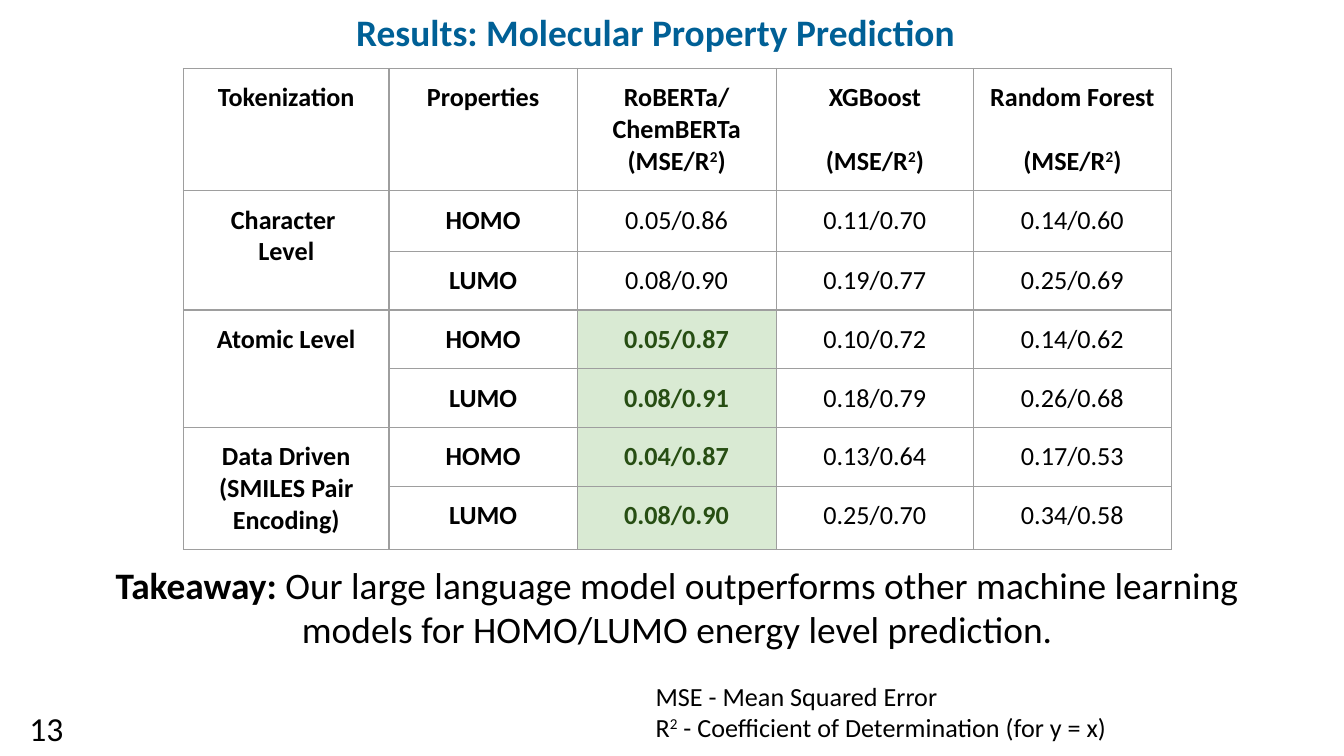
from dataclasses import dataclass

from lxml.etree import SubElement
from pptx import Presentation
from pptx.dml.color import RGBColor as RGB
from pptx.enum.text import MSO_ANCHOR as ANCHOR, MSO_AUTO_SIZE as AUTOSIZE, PP_ALIGN as ALIGN
from pptx.oxml.ns import qn
from pptx.util import Emu, Pt

PX = 4572


@dataclass(frozen=True)
class Theme:
    """Colours, font and type sizes of the slide."""
    font: str = "Calibri"
    title: str = "006096"
    ink: str = "000000"
    paper: str = "FFFFFF"
    best_ink: str = "274E13"
    best_fill: str = "D9EAD3"
    rule: str = "9E9E9E"
    heading: int = 20
    number: int = 18
    body: int = 14


THEME = Theme()
SCORE = "(MSE/R²)"
HEADERS = [["Tokenization"], ["Properties"], ["RoBERTa/", "ChemBERTa", SCORE],
           ["XGBoost", SCORE], ["Random Forest", SCORE]]
GROUPS = [
    (["Character ", "Level"], False,
     [("HOMO", "0.05/0.86", "0.11/0.70", "0.14/0.60"),
      ("LUMO", "0.08/0.90", "0.19/0.77", "0.25/0.69")]),
    (["Atomic Level"], True,
     [("HOMO", "0.05/0.87", "0.10/0.72", "0.14/0.62"),
      ("LUMO", "0.08/0.91", "0.18/0.79", "0.26/0.68")]),
    (["Data Driven", "(SMILES Pair Encoding)"], True,
     [("HOMO", "0.04/0.87", "0.13/0.64", "0.17/0.53"),
      ("LUMO", "0.08/0.90", "0.25/0.70", "0.34/0.58")]),
]
COLUMNS = [306, 280, 296, 294, 294]
ROWS = [84, 90, 76, 84, 84, 84, 84]
INSETS = [20, 20, 20, 20]


def px(*values):
    """Turn px lengths into EMU."""
    return [Emu(v * PX) for v in values]


def add_run(p, text, size, color, bold):
    """Append one formatted run to a paragraph."""
    r = p.add_run()
    r.text = text
    font = r.font
    font.name, font.size, font.bold = THEME.font, Pt(size), bold
    font.color.rgb = RGB.from_string(color)
    return r


def write(tf, lines, size=THEME.body, color=THEME.ink, bold=False, align=ALIGN.CENTER):
    """Write lines as paragraphs, raising each ² as a superscript 2."""
    for i, line in enumerate(lines):
        p = tf.paragraphs[0] if i == 0 else tf.add_paragraph()
        p.alignment = align
        for j, part in enumerate(line.split("²")):
            if j:
                r = add_run(p, "2", size, color, bold)
                r._r.get_or_add_rPr().set("baseline", "30000")
            if part:
                add_run(p, part, size, color, bold)


def set_insets(target):
    """Set the four margins of a text frame or table cell."""
    target.margin_left, target.margin_top, target.margin_right, target.margin_bottom = px(*INSETS)


def add_title(slide, box, text):
    """Place and format the title placeholder."""
    sp = slide.shapes.title
    sp.left, sp.top, sp.width, sp.height = px(*box)
    tf = sp.text_frame
    tf.auto_size, tf.vertical_anchor, tf.word_wrap = AUTOSIZE.NONE, ANCHOR.MIDDLE, True
    write(tf, [text], THEME.heading, THEME.title, True)


def add_text(slide, box):
    """Add an empty wrapping text box and return its frame."""
    tf = slide.shapes.add_textbox(*px(*box)).text_frame
    tf.word_wrap = True
    set_insets(tf)
    return tf


def style_cell(cell, fill=None):
    """Set the margins, borders and fill of a table cell."""
    set_insets(cell)
    tcPr = cell._tc.get_or_add_tcPr()
    for side in ("lnL", "lnR", "lnT", "lnB"):
        ln = SubElement(tcPr, qn(f"a:{side}"), w=str(Pt(0.75)))
        solid = SubElement(ln, qn("a:solidFill"))
        SubElement(solid, qn("a:srgbClr"), val=THEME.rule)
    if fill:
        cell.fill.solid()
        cell.fill.fore_color.rgb = RGB.from_string(fill)
    else:
        cell.fill.background()


def add_results(slide, left, top):
    """Add the table of scores with one merged label per tokenization."""
    width, height = sum(COLUMNS), sum(ROWS)
    table = slide.shapes.add_table(len(ROWS), len(COLUMNS), *px(left, top, width, height)).table
    table.first_row = table.horz_banding = False
    for column, w in zip(table.columns, px(*COLUMNS)):
        column.width = w
    for row, h in zip(table.rows, px(*ROWS)):
        row.height = h

    for c, lines in enumerate(HEADERS):
        cell = table.cell(0, c)
        style_cell(cell)
        write(cell.text_frame, lines, bold=True)
        if len(lines) == 2:
            cell.text_frame.paragraphs[1].space_before = Pt(17)

    for g, (label, best, scores) in enumerate(GROUPS):
        first = 1 + 2 * g
        for r, values in enumerate(scores, first):
            style_cell(table.cell(r, 0))
            for c, value in enumerate(values, 1):
                cell = table.cell(r, c)
                winner = best and c == 2
                fill = THEME.best_fill if winner else THEME.paper
                style_cell(cell, fill if c > 1 else None)
                write(cell.text_frame, [value], bold=winner or c == 1,
                      color=THEME.best_ink if winner else THEME.ink)
        cell = table.cell(first, 0)
        cell.merge(table.cell(first + 1, 0))
        write(cell.text_frame, label, bold=True)


def add_legend(slide, box):
    """Add the explanation of the two measures."""
    write(add_text(slide, box),
          ["MSE - Mean Squared Error", "R² - Coefficient of Determination (for y = x)"],
          align=ALIGN.LEFT)


def add_takeaway(slide, box):
    """Add the conclusion with its bold lead-in."""
    tf = add_text(slide, box)
    write(tf, ["Takeaway:"], THEME.heading, bold=True)
    add_run(tf.paragraphs[0], " Our large language model outperforms other machine learning "
            "models for HOMO/LUMO energy level prediction.", THEME.heading, THEME.ink, False)


def add_number(slide, box, number):
    """Add the slide number."""
    write(add_text(slide, box), [number], THEME.number)


def main():
    """Build and save the slide."""
    prs = Presentation()
    prs.slide_width, prs.slide_height = px(2000, 1125)
    slide = prs.slides.add_slide(prs.slide_layouts[5])
    add_title(slide, (82, 8, 1800, 78), "Results: Molecular Property Prediction ")
    add_results(slide, 273, 102)
    add_legend(slide, (956, 992, 972, 116))
    add_takeaway(slide, (67, 816, 1882, 106))
    add_number(slide, (4, 1033, 130, 92), "13")
    prs.save("out.pptx")


if __name__ == "__main__":
    main()
